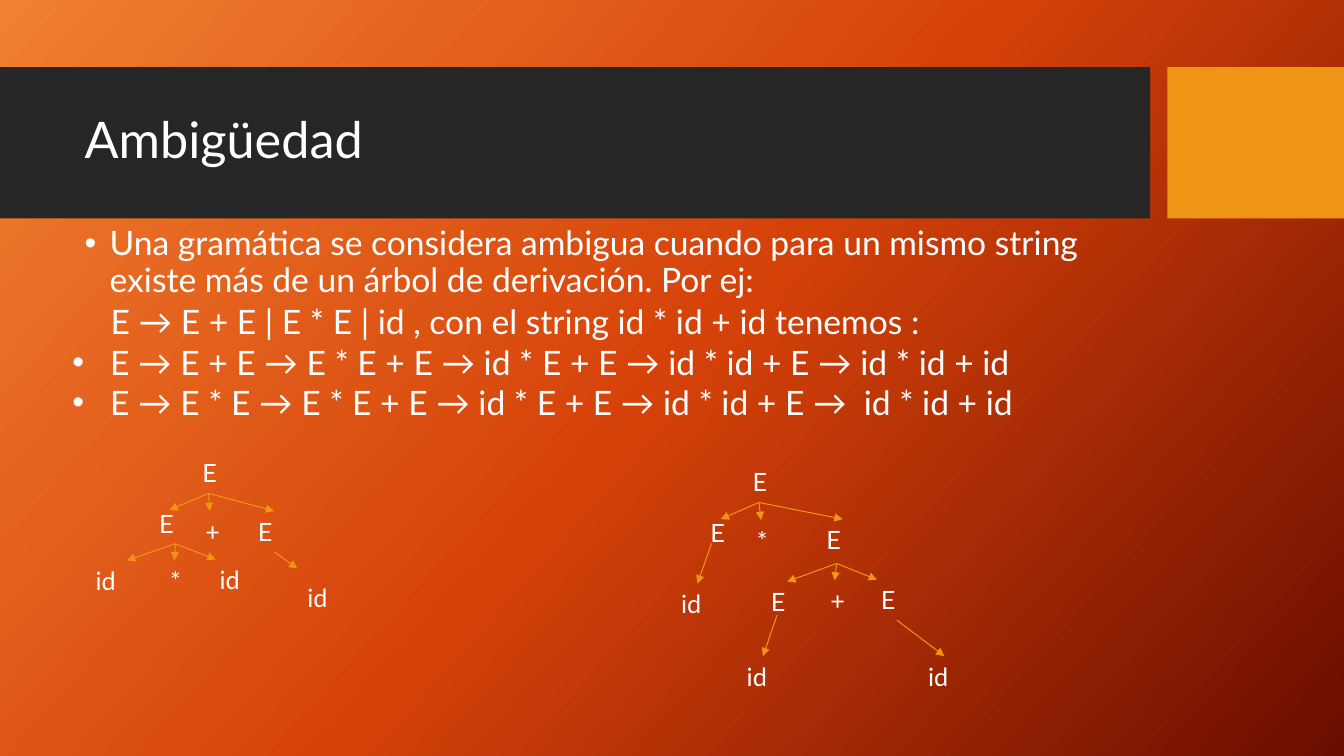
from copy import deepcopy
from dataclasses import dataclass

from lxml import etree
from pptx import Presentation
from pptx.dml.color import RGBColor
from pptx.enum.shapes import MSO_CONNECTOR, MSO_SHAPE
from pptx.enum.text import MSO_ANCHOR, MSO_AUTO_SIZE, PP_ALIGN
from pptx.oxml.ns import qn
from pptx.util import Pt

RECTANGLE = MSO_SHAPE.RECTANGLE
STRAIGHT = MSO_CONNECTOR.STRAIGHT
MIDDLE, TOP = MSO_ANCHOR.MIDDLE, MSO_ANCHOR.TOP
LEFT = PP_ALIGN.LEFT
GROW, FIXED = MSO_AUTO_SIZE.SHAPE_TO_FIT_TEXT, MSO_AUTO_SIZE.NONE
TOP_SIDE, BOTTOM_SIDE = 0, 2


@dataclass(frozen=True)
class Theme:
    font: str = "Lato"
    text: str = "FFFFFF"
    band: str = "262626"
    accent: str = "F09415"
    background: tuple = ((0, "F18031"), (0.5, "D54209"), (1, "6A0D00"))
    background_angle: int = 42
    title_size: float = 36
    body_size: float = 24
    node_size: float = 18
    line_width: float = 0.75


@dataclass(frozen=True)
class Node:
    name: str
    text: str
    left: float
    top: float
    width: float = 37.4


@dataclass(frozen=True)
class Branch:
    """Each end is a node name or a free (x, y) point."""
    start: str | tuple
    end: str | tuple


THEME = Theme()
NODE_HEIGHT = 29.1
ROOT_WIDTH, OPERATOR_WIDTH = 23, 20.2

# Derivation tree with the sum at the root
SUM_NODES = [
    Node("root", "E", 137.5, 323.3, ROOT_WIDTH),
    Node("left", "E", 106.6, 359.3),
    Node("plus", "+", 139.7, 365, OPERATOR_WIDTH),
    Node("right", "E", 177.1, 365),
    Node("first id", "id", 61.2, 400.3),
    Node("star", "*", 114.5, 400.3, OPERATOR_WIDTH),
    Node("second id", "id", 149.8, 399.6),
    Node("third id", "id", 212.4, 412.6),
]
SUM_BRANCHES = [
    Branch("root", (121, 364.3)),
    Branch("root", "plus"),
    Branch("root", "right"),
    Branch("left", (90.7, 400.3)),
    Branch("left", "star"),
    Branch("left", (154.1, 399.6)),
    Branch("right", (212.4, 406.1)),
]

# Derivation tree with the product at the root
INNER_FORK = (597.6, 402.5)
PRODUCT_NODES = [
    Node("root", "E", 530.6, 329.8, ROOT_WIDTH),
    Node("left", "E", 500.4, 365.8),
    Node("star", "*", 533.5, 371.5, OPERATOR_WIDTH),
    Node("right", "E", 583.2, 370.8),
    Node("inner left", "E", 543.6, 415.4),
    Node("plus", "+", 586.1, 414.7, OPERATOR_WIDTH),
    Node("inner right", "E", 622.1, 414),
    Node("first id", "id", 479.5, 416.9),
    Node("second id", "id", 526.3, 468.7),
    Node("third id", "id", 655.9, 468.7),
]
PRODUCT_BRANCHES = [
    Branch("root", (514.8, 370.8)),
    Branch("root", "star"),
    Branch("root", "right"),
    Branch(INNER_FORK, "inner left"),
    Branch(INNER_FORK, "plus"),
    Branch(INNER_FORK, (626.4, 414)),
    Branch((508.3, 388.1), "first id"),
    Branch((555.1, 439.2), "second id"),
    Branch("inner right", "third id"),
]


def write_text(shape, *lines: str, size: float, line_spacing: float = 1,
               bullet_indent: float = 0, anchor=TOP, auto_size=GROW) -> None:
    frame = shape.text_frame
    frame.word_wrap = True
    frame.auto_size = auto_size
    frame.vertical_anchor = anchor
    for index, line in enumerate(lines):
        paragraph = frame.add_paragraph() if index else frame.paragraphs[0]
        paragraph.alignment = LEFT
        paragraph.line_spacing = line_spacing
        if bullet_indent:
            properties = paragraph._p.get_or_add_pPr()
            properties.set("marL", str(Pt(bullet_indent)))
            properties.set("indent", str(-Pt(bullet_indent)))
            etree.SubElement(properties, qn("a:buFont"), typeface="Arial")
            etree.SubElement(properties, qn("a:buChar"), char="•")
        run = paragraph.add_run()
        run.text = line
        run.font.name = THEME.font
        run.font.size = Pt(size)
        run.font.color.rgb = RGBColor.from_string(THEME.text)


def add_text(slide, left: float, top: float, width: float, height: float,
             *lines: str, **text_format):
    shape = slide.shapes.add_textbox(Pt(left), Pt(top), Pt(width), Pt(height))
    write_text(shape, *lines, **text_format)
    return shape


def add_block(slide, left: float, width: float, color: str) -> None:
    shape = slide.shapes.add_shape(RECTANGLE, Pt(left), Pt(48), Pt(width), Pt(108))
    shape.shadow.inherit = False
    shape.fill.solid()
    shape.fill.fore_color.rgb = RGBColor.from_string(color)
    shape.line.fill.background()


def add_branch(slide, branch: Branch, boxes: dict) -> None:
    begin = (0, 0) if branch.start in boxes else branch.start
    end = (0, 0) if branch.end in boxes else branch.end
    connector = slide.shapes.add_connector(
        STRAIGHT, Pt(begin[0]), Pt(begin[1]), Pt(end[0]), Pt(end[1]))
    if branch.start in boxes:
        connector.begin_connect(boxes[branch.start], BOTTOM_SIDE)
    if branch.end in boxes:
        connector.end_connect(boxes[branch.end], TOP_SIDE)
    connector.line.width = Pt(THEME.line_width)
    connector.line.color.rgb = RGBColor.from_string(THEME.accent)
    etree.SubElement(connector.line._get_or_add_ln(), qn("a:tailEnd"), type="triangle")
    etree.SubElement(connector._element.spPr, qn("a:effectLst"))


def add_tree(slide, nodes: list[Node], branches: list[Branch]) -> None:
    boxes = {
        node.name: add_text(slide, node.left, node.top, node.width, NODE_HEIGHT,
                            node.text, size=THEME.node_size)
        for node in nodes
    }
    for branch in branches:
        add_branch(slide, branch, boxes)


def paint_background(slide) -> None:
    fill = slide.background.fill
    fill.gradient()
    fill.gradient_angle = 360 - THEME.background_angle
    stop_list = slide._element.find(".//" + qn("a:gsLst"))
    stop_list.append(deepcopy(stop_list[0]))
    for stop, (position, color) in zip(fill.gradient_stops, THEME.background):
        stop.position = position
        stop.color.rgb = RGBColor.from_string(color)


def main() -> None:
    presentation = Presentation()
    presentation.slide_width, presentation.slide_height = Pt(960), Pt(540)
    slide = presentation.slides.add_slide(presentation.slide_layouts[5])
    paint_background(slide)

    # Title band, with the title in front of it
    add_block(slide, 0, 821.5, THEME.band)
    add_block(slide, 833.8, 126.2, THEME.accent)
    title = slide.shapes.title
    slide.shapes._spTree.append(title._element)
    title.left, title.top, title.width, title.height = Pt(53.3), Pt(59), Pt(756.7), Pt(85)
    write_text(title, "Ambigüedad", size=THEME.title_size, line_spacing=0.9,
               anchor=MIDDLE, auto_size=FIXED)

    # Definition, grammar and the two derivations
    add_text(slide, 53.3, 158.4, 756.7, 61.2,
             "Una gramática se considera ambigua cuando para un mismo string "
             "existe más de un árbol de derivación. Por ej:",
             size=THEME.body_size, line_spacing=0.9, bullet_indent=18, auto_size=FIXED)
    add_text(slide, 72, 211.7, 684, 58.3,
             "E → E + E | E * E | id , con el string id * id + id tenemos :",
             size=THEME.body_size, auto_size=FIXED)
    add_text(slide, 44.6, 240.5, 774.7, 65.5,
             "E → E + E → E * E + E → id * E + E → id * id + E → id * id + id",
             "E → E * E → E * E + E → id * E + E → id * id + E →  id * id + id",
             size=THEME.body_size, bullet_indent=27)

    # Derivation trees
    add_tree(slide, SUM_NODES, SUM_BRANCHES)
    add_tree(slide, PRODUCT_NODES, PRODUCT_BRANCHES)

    presentation.save("out.pptx")


if __name__ == "__main__":
    main()
